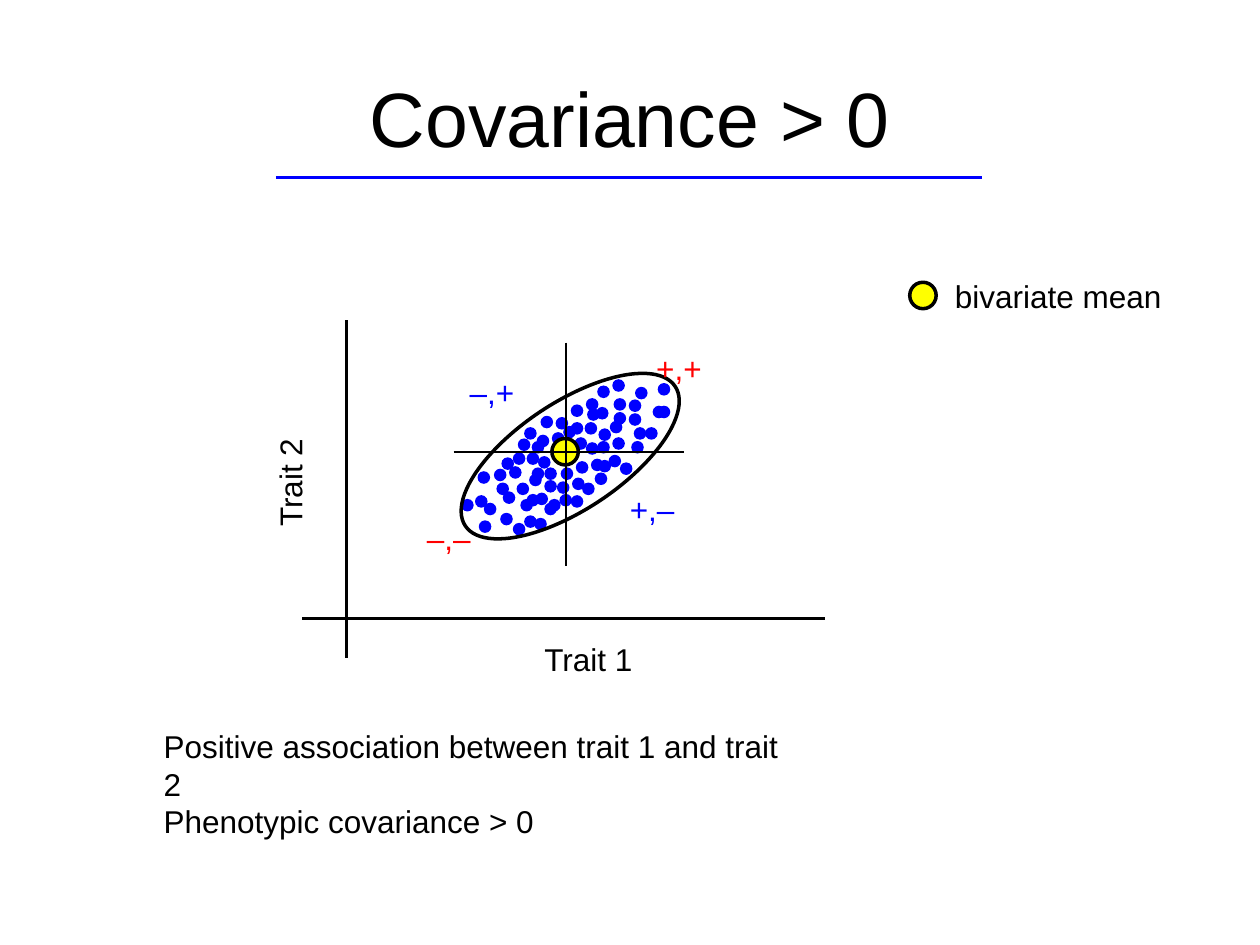
from dataclasses import dataclass

from lxml import etree
from pptx import Presentation
from pptx.dml.color import RGBColor
from pptx.enum.shapes import MSO_CONNECTOR, MSO_SHAPE
from pptx.enum.text import MSO_ANCHOR, PP_ALIGN
from pptx.oxml.ns import qn
from pptx.shapes.autoshape import Shape
from pptx.slide import Slide
from pptx.util import Inches, Pt

BLACK = RGBColor(0, 0, 0)
WHITE = RGBColor(255, 255, 255)
BLUE = RGBColor(0, 0, 255)
RED = RGBColor(255, 0, 0)
YELLOW = RGBColor(255, 255, 0)

LEFT = PP_ALIGN.LEFT
CENTER = PP_ALIGN.CENTER
TOP = MSO_ANCHOR.TOP
MIDDLE = MSO_ANCHOR.MIDDLE
ELLIPSE = MSO_SHAPE.OVAL
STRAIGHT = MSO_CONNECTOR.STRAIGHT

FONT = "Arial"
COLUMNS = 100
ROWS = 75
CELL = Inches(10) // COLUMNS
DOT_SIZE = 1
MEAN_SIZE = 2.1


@dataclass(frozen=True)
class Label:
    text: str
    column: float
    row: float
    columns: float
    rows: float = 4
    size: int = 18
    color: RGBColor = BLACK
    align: PP_ALIGN = LEFT
    anchor: MSO_ANCHOR = TOP
    rotation: float = 0
    wrap: bool = False


@dataclass(frozen=True)
class Rule:
    start: tuple[float, float]
    end: tuple[float, float]
    color: RGBColor = BLACK
    width: float = 2


@dataclass(frozen=True)
class Oval:
    column: float
    row: float
    columns: float
    rows: float
    fill: RGBColor | None = None
    line: RGBColor | None = None
    rotation: float = 0


AXES = [
    Rule((21.9, 14.1), (77.9, 14.1), BLUE),
    Rule((27.5, 25.4), (27.5, 52.2)),
    Rule((24, 49.1), (65.5, 49.1)),
]
MEAN_LINES = [
    Rule((44.9, 27.2), (44.9, 44.9), width=1),
    Rule((36, 35.9), (54.3, 35.9), width=1),
]
LABELS = [
    Label("Covariance > 0", 5, 3, 90, 12.5, 44, align=CENTER, anchor=MIDDLE, wrap=True),
    Label("Trait 1", 33.5, 50.3, 26.4, align=CENTER, wrap=True),
    Label("Trait 2", 9.8, 36.3, 26.4, align=CENTER, rotation=270, wrap=True),
    Label("bivariate mean", 74.8, 21.5, 18.4),
    Label("+,+", 51.1, 27.2, 5.6, color=RED),
    Label("–,–", 32.9, 40.7, 5.5, color=RED),
    Label("+,–", 49, 38.4, 5.6, color=BLUE),
    Label("–,+", 36.3, 29.1, 5.6, color=BLUE),
    Label(
        "Positive association between trait 1 and trait 2\nPhenotypic covariance > 0",
        12, 57.2, 52.8, 7,
    ),
]
DOTS = [
    (39.8, 36.3), (41, 38.3), (39.7, 40.7), (43.2, 39.9), (45.6, 34.7), (49.2, 36.7),
    (44.5, 37.1), (43.8, 34.3), (47.4, 30.6), (47.5, 36.5), (43.2, 37.1), (48.6, 30.1),
    (52.2, 32.2), (50.3, 33.9), (39.2, 37.2), (38.4, 39.9), (41.3, 39.6), (45.3, 39.3),
    (41.8, 35.9), (45.4, 37.9), (43.5, 39.6), (48.7, 32.7), (44.2, 38.2), (40.7, 41.5),
    (39.4, 38.3), (46.5, 31.6), (48.4, 33.4), (46.5, 35.1), (47.3, 32.3), (46.6, 32.4),
    (38, 41.3), (49.9, 32.8), (51.8, 32.2), (46.4, 33.5), (49.9, 31.7), (48.6, 34.7),
    (44.7, 33.8), (48.7, 31.6), (42.7, 36.2), (41.1, 34.8), (52.2, 30.4), (41.6, 40.9),
    (39.9, 39), (42.6, 34.5), (42.2, 37.1), (41.8, 39.2), (36.6, 39.6), (37.7, 39.3),
    (47.5, 34), (47.2, 37.5), (51.2, 33.9), (42.5, 39.1), (37.9, 37.4), (45.3, 33.5),
    (41.6, 33.9), (40.4, 37), (42, 37.6), (50.4, 30.7), (42.9, 33), (44.1, 33.1),
    (45.3, 32.1), (46.9, 36.4), (44.4, 39.2), (43.2, 38.1), (46.2, 38.3), (42.2, 35),
    (50.1, 35), (47.4, 35), (42.4, 41.1), (48.3, 36.1), (45.7, 36.6), (40.7, 35.9),
]
MARKERS = [
    Oval(43.8, 34.8, MEAN_SIZE, MEAN_SIZE, YELLOW, BLACK),
    Oval(72.2, 22.4, MEAN_SIZE, MEAN_SIZE, YELLOW, BLACK),
    Oval(41, 26.2, 8.5, 20, line=BLACK, rotation=56.4),
]


def cells(count: float) -> int:
    return round(count * CELL)


def add_label(slide: Slide, label: Label) -> Shape:
    box = slide.shapes.add_textbox(
        cells(label.column), cells(label.row), cells(label.columns), cells(label.rows)
    )
    box.rotation = label.rotation
    frame = box.text_frame
    frame.word_wrap = label.wrap
    frame.vertical_anchor = label.anchor
    frame.text = label.text
    for paragraph in frame.paragraphs:
        paragraph.alignment = label.align
        for run in paragraph.runs:
            run.font.name = FONT
            run.font.size = Pt(label.size)
            run.font.color.rgb = label.color
    return box


def add_rule(slide: Slide, rule: Rule) -> None:
    ends = [cells(value) for value in (*rule.start, *rule.end)]
    connector = slide.shapes.add_connector(STRAIGHT, *ends)
    connector.line.color.rgb = rule.color
    connector.line.width = Pt(rule.width)
    etree.SubElement(connector._element.spPr, qn("a:effectLst"))


def add_oval(slide: Slide, oval: Oval) -> Shape:
    shape = slide.shapes.add_shape(
        ELLIPSE, cells(oval.column), cells(oval.row), cells(oval.columns), cells(oval.rows)
    )
    shape.shadow.inherit = False
    shape.rotation = oval.rotation
    if oval.fill is None:
        shape.fill.background()
    else:
        shape.fill.solid()
        shape.fill.fore_color.rgb = oval.fill
    if oval.line is None:
        shape.line.fill.background()
    else:
        shape.line.color.rgb = oval.line
        shape.line.width = Pt(2)
    return shape


def main() -> None:
    presentation = Presentation()
    presentation.slide_width = COLUMNS * CELL
    presentation.slide_height = ROWS * CELL
    slide = presentation.slides.add_slide(presentation.slide_layouts[6])
    slide.background.fill.solid()
    slide.background.fill.fore_color.rgb = WHITE

    for rule in AXES:
        add_rule(slide, rule)
    for column, row in DOTS:
        add_oval(slide, Oval(column, row, DOT_SIZE, DOT_SIZE, BLUE))
    for marker in MARKERS:
        add_oval(slide, marker)
    for label in LABELS:
        add_label(slide, label)
    for rule in MEAN_LINES:
        add_rule(slide, rule)

    presentation.save("out.pptx")


if __name__ == "__main__":
    main()
